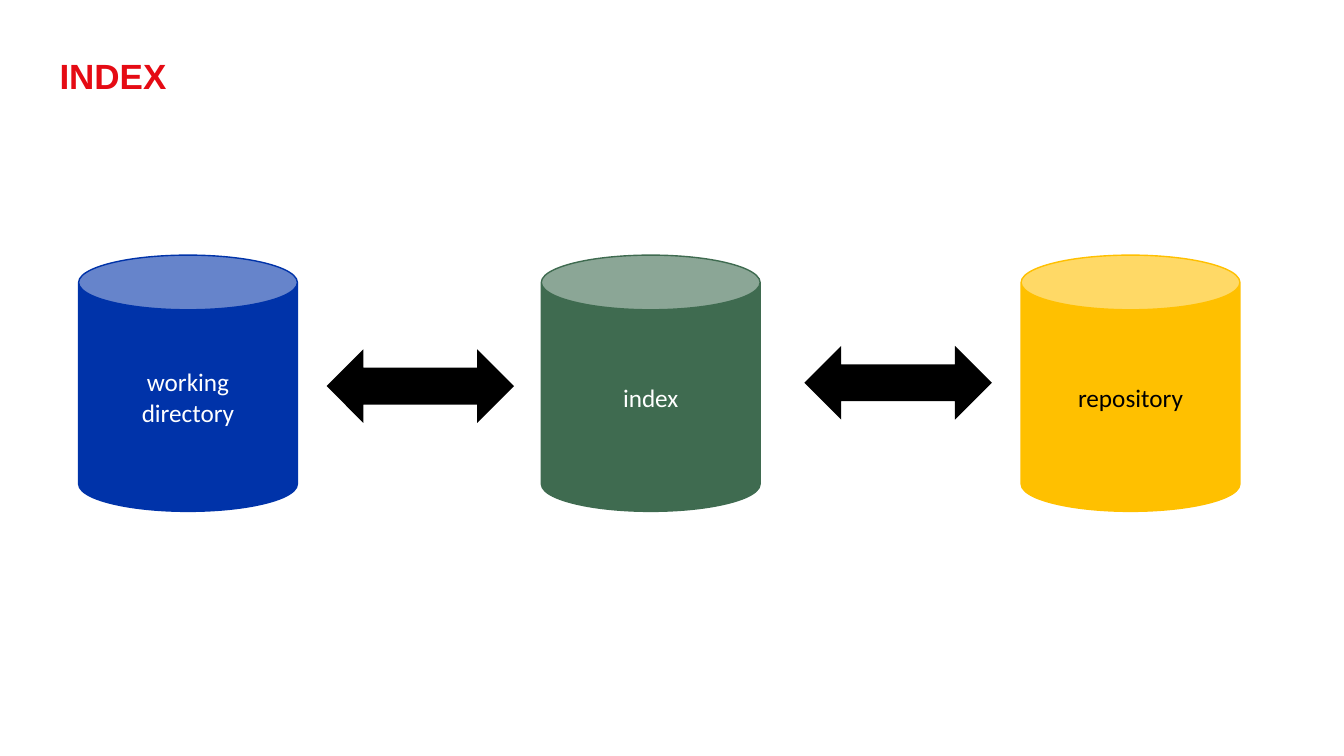
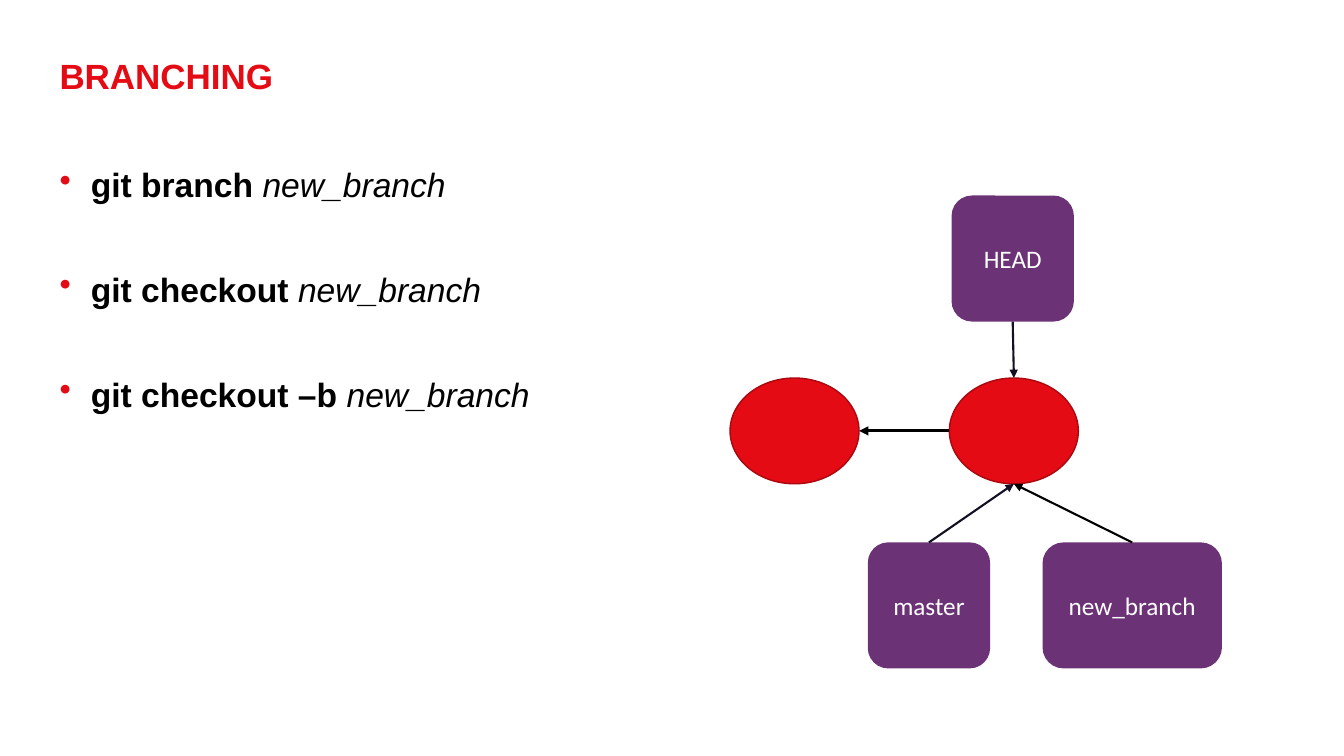
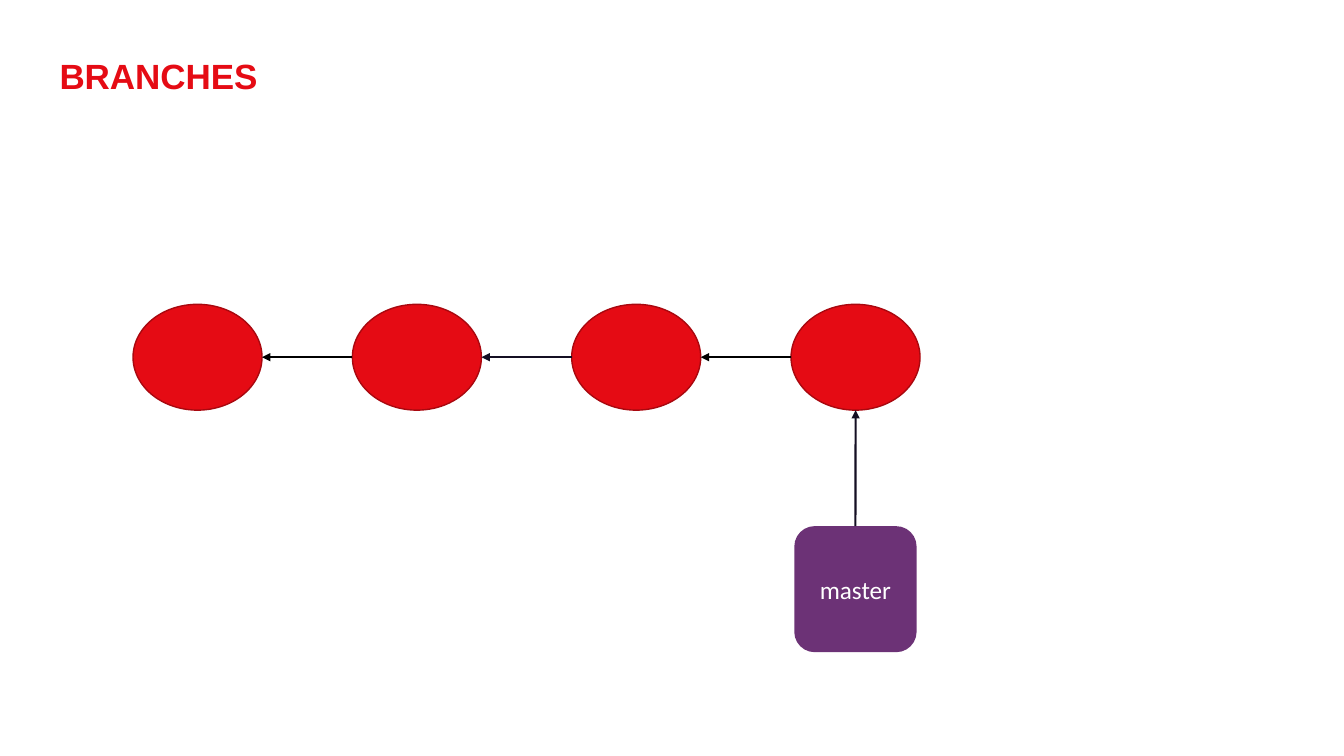
from lxml import etree
from pptx import Presentation
from pptx.dml.color import RGBColor
from pptx.enum.shapes import MSO_CONNECTOR, MSO_SHAPE
from pptx.enum.text import MSO_ANCHOR, PP_ALIGN
from pptx.oxml.ns import qn
from pptx.util import Inches, Pt

CAN, ELLIPSE = MSO_SHAPE.CAN, MSO_SHAPE.OVAL
ROUNDED, DOUBLE_ARROW = MSO_SHAPE.ROUNDED_RECTANGLE, MSO_SHAPE.LEFT_RIGHT_ARROW
STRAIGHT = MSO_CONNECTOR.STRAIGHT
TOP, MIDDLE, CENTER = MSO_ANCHOR.TOP, MSO_ANCHOR.MIDDLE, PP_ALIGN.CENTER

RED, DARK_RED, PURPLE, INK = "E50B14", "A9080F", "6C3276", "140F23"
BLUE, GREEN, YELLOW = "0033A9", "3F6B50", "FFC000"
BLACK, WHITE = "000000", "FFFFFF"

TITLE_FONT = {"name": "Arial", "size": Pt(25), "bold": True}
BODY_FONT = {"name": "Arial", "size": Pt(24)}
LABEL_FONT = {"name": "Calibri", "size": Pt(18)}

# Shares of the slide, in percent
MARGIN = 4.43
COMMIT_W, COMMIT_H, COMMIT_STEP = 9.6, 14, 16.32
REF_W, REF_H = 9.1, 16.67


def rgb(code):
    return RGBColor.from_string(code)


def style(font, formats, color):
    for key, value in formats.items():
        setattr(font, key, value)
    font.color.rgb = rgb(color)


def edge(shape, across, down):
    """Point on a shape, given as shares of its width and height."""
    return (int(shape.left + shape.width * across),
            int(shape.top + shape.height * down))


class Deck:
    def __init__(self):
        self.deck = Presentation()
        self.deck.slide_width = Inches(13.33)
        self.deck.slide_height = Inches(7.5)
        self.shapes = None

    def box(self, x, y, w, h):
        """Turn percentages of the slide into lengths."""
        wide, high = self.deck.slide_width, self.deck.slide_height
        return [int(share * full / 100)
                for share, full in ((x, wide), (y, high), (w, wide), (h, high))]

    def slide(self, title):
        self.shapes = self.deck.slides.add_slide(self.deck.slide_layouts[6]).shapes
        heading = self.text_frame(MARGIN, 7.87, 91.15, 8.4).paragraphs[0]
        heading.text = title
        heading.line_spacing = 0.9
        style(heading.font, TITLE_FONT, RED)

    def text_frame(self, *place):
        frame = self.shapes.add_textbox(*self.box(*place)).text_frame
        frame.word_wrap = True
        frame.vertical_anchor = TOP
        for side in ("left", "top", "right", "bottom"):
            setattr(frame, f"margin_{side}", 0)
        return frame

    def commands(self, place, lines):
        """Bulleted commands, each with an italic argument."""
        frame = self.text_frame(*place)
        for i, (command, argument) in enumerate(lines):
            item = frame.add_paragraph() if i else frame.paragraphs[0]
            if i:
                item.space_before = Pt(46)
            props = item._p.get_or_add_pPr()
            props.set("marL", str(Inches(0.31)))
            props.set("indent", str(-Inches(0.31)))
            color = etree.SubElement(props, qn("a:buClr"))
            etree.SubElement(color, qn("a:srgbClr"), val=RED)
            etree.SubElement(props, qn("a:buChar"), char="•")
            style(item.font, BODY_FONT, BLACK)
            for words, look in ((command + " ", {"bold": True}),
                                (argument, {"italic": True})):
                run = item.add_run()
                run.text = words
                style(run.font, {**BODY_FONT, **look}, BLACK)

    def shape(self, kind, place, fill, line=None, text="", color=WHITE):
        shape = self.shapes.add_shape(kind, *self.box(*place))
        shape.shadow.inherit = False
        shape.fill.solid()
        shape.fill.fore_color.rgb = rgb(fill)
        if line:
            shape.line.color.rgb = rgb(line)
            shape.line.width = Pt(1)
        else:
            shape.line.fill.background()
        if text:
            shape.text_frame.text = text
            shape.text_frame.vertical_anchor = MIDDLE
            for paragraph in shape.text_frame.paragraphs:
                paragraph.alignment = CENTER
                style(paragraph.font, LABEL_FONT, color)
        return shape

    def commits(self, x, y, count):
        return [self.shape(ELLIPSE, (x + i * COMMIT_STEP, y, COMMIT_W, COMMIT_H),
                           RED, DARK_RED) for i in range(count)]

    def ref(self, name, x, y, w=REF_W):
        return self.shape(ROUNDED, (x, y, w, REF_H), PURPLE, text=name)

    def arrow(self, start, end, color=INK, width=1.5):
        link = self.shapes.add_connector(STRAIGHT, *start, *end)
        link.line.color.rgb = rgb(color)
        link.line.width = Pt(width)
        etree.SubElement(link.line._get_or_add_ln(), qn("a:tailEnd"), type="triangle")
        etree.SubElement(link._element.spPr, qn("a:effectLst"))

    def parent(self, child, parent, color=BLACK, width=1.5):
        self.arrow(edge(child, 0, 0.5), edge(parent, 1, 0.5), color, width)

    def point_up(self, ref, commit, color=INK):
        self.arrow(edge(ref, 0.5, 0), edge(commit, 0.5, 1), color)


def main():
    deck = Deck()

    deck.slide("INDEX")
    for x, store, fill, color in ((5.85, "working\ndirectory", BLUE, WHITE),
                                  (40.28, "index", GREEN, WHITE),
                                  (75.98, "repository", YELLOW, BLACK)):
        deck.shape(CAN, (x, 33.75, 16.28, 33.9), fill, fill, store, color)
    for x, y in ((24.3, 46.2), (59.85, 45.75)):
        deck.shape(DOUBLE_ARROW, (x, y, 13.95, 9.75), BLACK)

    deck.slide("BRANCHING")
    deck.commands((MARGIN, 21.7, 43.2, 70.5),
                  [(command, "new_branch") for command in
                   ("git branch", "git checkout", "git checkout –b")])
    first, latest = deck.commits(54.32, 50, 2)
    deck.parent(latest, first, width=2.25)
    head = deck.ref("HEAD", 70.8, 25.87)
    deck.arrow(edge(head, 0.5, 1), edge(latest, 0.5, 0))
    deck.point_up(deck.ref("master", 64.57, 71.75), latest)
    deck.point_up(deck.ref("new_branch", 77.57, 71.75, 13.35), latest, BLACK)

    deck.slide("BRANCHES")
    history = deck.commits(9.9, 40.25, 4)
    for older, newer, color in zip(history, history[1:], (BLACK, INK, BLACK)):
        deck.parent(newer, older, color)
    deck.point_up(deck.ref("master", 59.1, 69.6), history[-1])

    deck.deck.save("out.pptx")


if __name__ == "__main__":
    main()
